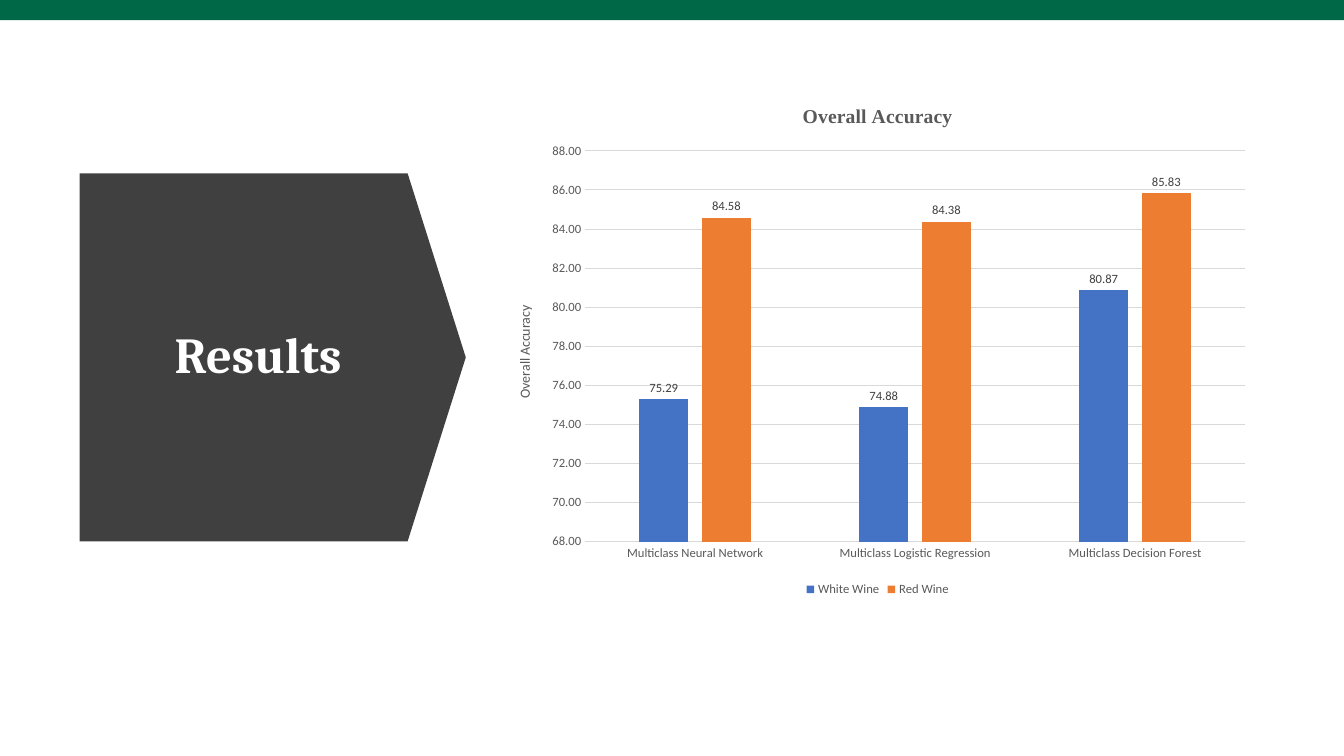
import pptx
import pptx.util
import pptx.chart.data
import pptx.dml.color
import pptx.enum.chart
import pptx.enum.shapes
import pptx.enum.text

Inches = pptx.util.Inches
Pt = pptx.util.Pt
COLORS = {
    "green": "006747", "dark": "404040", "white": "FFFFFF", "text": "595959",
    "grid": "D9D9D9", "blue": "4472C4", "orange": "ED7D31",
}


def rgb(name):
    return pptx.dml.color.RGBColor.from_string(COLORS[name])


def set_font(font, size, color, name="Calibri", bold=False):
    font.size = Pt(size)
    font.name = name
    font.bold = bold
    font.color.rgb = rgb(color)


prs = pptx.Presentation()
prs.slide_width = Inches(13.33)
prs.slide_height = Inches(7.5)
s = prs.slides.add_slide(prs.slide_layouts[5])

shape_type = pptx.enum.shapes.MSO_SHAPE
band = s.shapes.add_shape(shape_type.RECTANGLE, 0, 0, prs.slide_width, Inches(0.2))
arrow = s.shapes.add_shape(
    shape_type.DOWN_ARROW, Inches(0.88), Inches(1.63), Inches(3.65), Inches(3.83))
arrow.rotation = 270
arrow.adjustments[0] = 1
arrow.adjustments[1] = 0.158
for sp, color in ((band, "green"), (arrow, "dark")):
    sp.shadow.inherit = False
    sp.fill.solid()
    sp.fill.fore_color.rgb = rgb(color)
    sp.line.fill.background()

title = s.shapes.title
title.left, title.top = Inches(1.12), Inches(2.15)
title.width, title.height = Inches(2.88), Inches(2.79)
s.shapes._spTree.append(title._element)
tf = title.text_frame
tf.word_wrap = True
tf.vertical_anchor = pptx.enum.text.MSO_ANCHOR.MIDDLE
p = tf.paragraphs[0]
p.text = "Results"
p.alignment = pptx.enum.text.PP_ALIGN.CENTER
p.line_spacing = 0.9
set_font(p.font, 36, "white", "Cambria", True)

data = pptx.chart.data.CategoryChartData(number_format="0.00")
data.categories = [
    "Multiclass Neural Network", "Multiclass Logistic Regression",
    "Multiclass Decision Forest"]
data.add_series("White Wine", (75.29, 74.88, 80.87))
data.add_series("Red Wine", (84.58, 84.38, 85.83))
chart = s.shapes.add_chart(
    pptx.enum.chart.XL_CHART_TYPE.COLUMN_CLUSTERED,
    Inches(4.91), Inches(0.83), Inches(7.59), Inches(5.13), data).chart
set_font(chart.font, 10, "text")

chart.has_title = True
p = chart.chart_title.text_frame.paragraphs[0]
p.text = "Overall Accuracy"
set_font(p.font, 14, "text", "Times New Roman", True)
chart.chart_title.include_in_layout = False

chart.has_legend = True
chart.legend.position = pptx.enum.chart.XL_LEGEND_POSITION.BOTTOM
chart.legend.include_in_layout = False
set_font(chart.legend.font, 9, "text")

for axis in (chart.category_axis, chart.value_axis):
    axis.major_tick_mark = pptx.enum.chart.XL_TICK_MARK.NONE
    axis.minor_tick_mark = pptx.enum.chart.XL_TICK_MARK.NONE
    set_font(axis.tick_labels.font, 9, "text")

value_axis = chart.value_axis
value_axis.minimum_scale = 68
value_axis.maximum_scale = 88
value_axis.major_unit = 2
value_axis.tick_labels.number_format = "0.00"
value_axis.tick_labels.number_format_is_linked = False
value_axis.format.line.fill.background()
value_axis.has_major_gridlines = True
for line in (chart.category_axis.format.line, value_axis.major_gridlines.format.line):
    line.color.rgb = rgb("grid")
    line.width = Pt(0.75)
value_axis.has_title = True
p = value_axis.axis_title.text_frame.paragraphs[0]
p.text = "Overall Accuracy"
set_font(p.font, 10, "text")

plot = chart.plots[0]
plot.gap_width = 219
plot.overlap = -27
plot.vary_by_categories = False
for series, color in zip(plot.series, ("blue", "orange")):
    series.format.fill.solid()
    series.format.fill.fore_color.rgb = rgb(color)
    labels = series.data_labels
    labels.show_value = True
    labels.position = pptx.enum.chart.XL_LABEL_POSITION.OUTSIDE_END
    labels.number_format = "0.00"
    labels.number_format_is_linked = False
    set_font(labels.font, 9, "dark")

prs.save("out.pptx")
